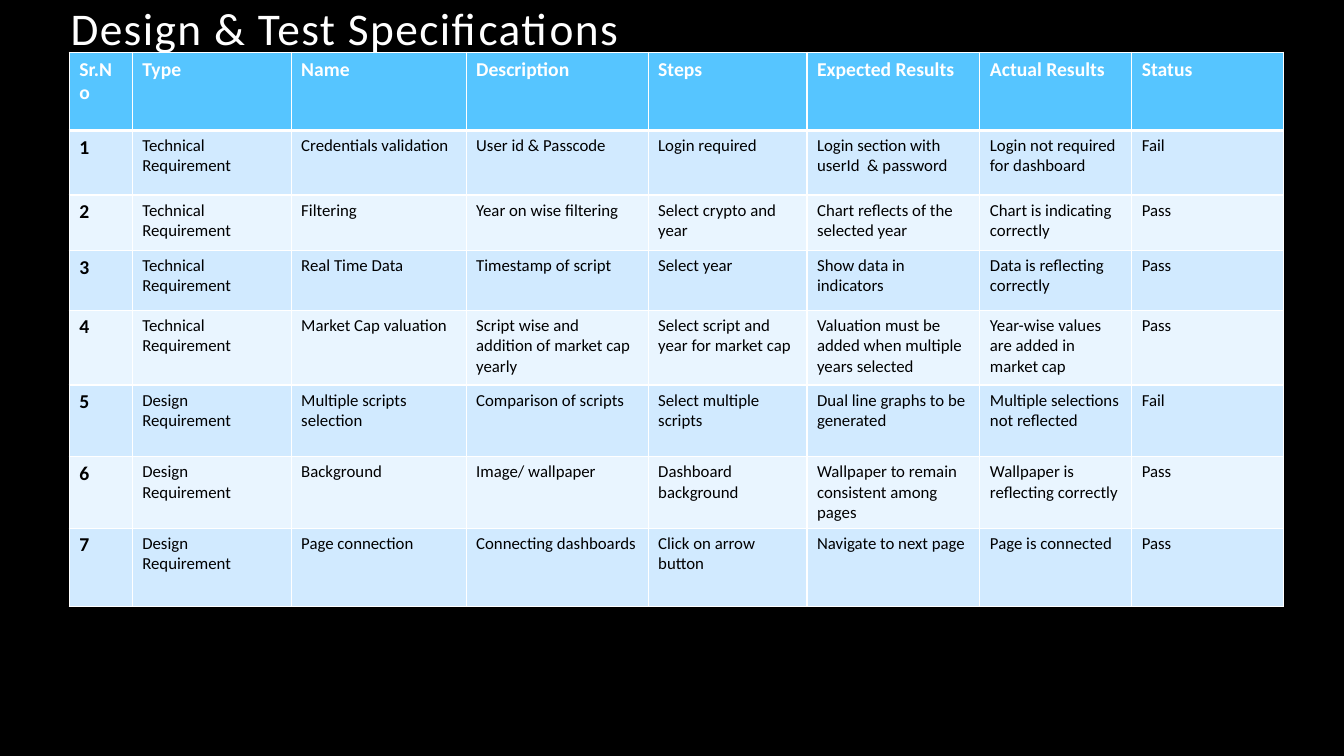
"""Build a slide with a table of design and test specifications."""
from dataclasses import dataclass

from lxml import etree
from pptx import Presentation
from pptx.dml.color import RGBColor
from pptx.enum.text import MSO_ANCHOR, MSO_AUTO_SIZE, PP_ALIGN
from pptx.oxml.ns import qn
from pptx.util import Pt

BOTTOM, TOP = MSO_ANCHOR.BOTTOM, MSO_ANCHOR.TOP
LEFT = PP_ALIGN.LEFT
NO_AUTOFIT = MSO_AUTO_SIZE.NONE
TITLE_ONLY = 5


@dataclass(frozen=True)
class Theme:
    font: str = "Calibri"
    background: str = "000000"
    light: str = "FFFFFF"
    dark: str = "000000"
    header_fill: str = "56C5FF"
    band_fills: tuple = ("D1EAFF", "E9F5FF")
    title_size: float = 32.4
    label_size: float = 14
    body_size: float = 12
    thin_border: float = 1
    header_border: float = 3


THEME = Theme()
TECHNICAL = "Technical Requirement"
DESIGN = "Design\nRequirement"
HEADINGS = ("Sr.No", "Type", "Name", "Description", "Steps",
            "Expected Results", "Actual Results", "Status")
TESTS = (
    (TECHNICAL, "Credentials validation", "User id & Passcode", "Login required",
     "Login section with userId  & password", "Login not required for dashboard", "Fail"),
    (TECHNICAL, "Filtering", "Year on wise filtering", "Select crypto and year",
     "Chart reflects of the selected year", "Chart is indicating correctly", "Pass"),
    (TECHNICAL, "Real Time Data", "Timestamp of script", "Select year",
     "Show data in indicators", "Data is reflecting correctly", "Pass"),
    (TECHNICAL, "Market Cap valuation", "Script wise and addition of market cap yearly",
     "Select script and year for market cap",
     "Valuation must be added when multiple years selected",
     "Year-wise values are added in market cap", "Pass"),
    (DESIGN, "Multiple scripts selection", "Comparison of scripts",
     "Select multiple scripts", "Dual line graphs to be generated",
     "Multiple selections not reflected", "Fail"),
    (DESIGN, "Background", "Image/ wallpaper", "Dashboard background",
     "Wallpaper to remain consistent among pages",
     "Wallpaper is reflecting correctly", "Pass"),
    (DESIGN, "Page connection", "Connecting dashboards", "Click on arrow button",
     "Navigate to next page", "Page is connected", "Pass"),
)
COLUMN_WIDTHS = (45, 113.5, 125, 130, 113.5, 123.5, 108.5, 108.5)
ROW_HEIGHTS = (55.8, 46.2, 39.5, 42.7, 53.5, 51.1, 51.2, 56)


def write_text(text_frame, text, size, color, bold=False, tracking=0, line_spacing=None):
    """Write one formatted paragraph."""
    paragraph = text_frame.paragraphs[0]
    paragraph.text = text
    paragraph.alignment = LEFT
    paragraph.line_spacing = line_spacing
    for line_break in paragraph._p.findall(qn("a:br")):
        etree.SubElement(line_break, qn("a:rPr"), sz=str(int(size * 100)))
    for run in paragraph.runs:
        run.font.name = THEME.font
        run.font.size = Pt(size)
        run.font.bold = bold
        run.font.color.rgb = RGBColor.from_string(color)
        if tracking:
            run._r.get_or_add_rPr().set("spc", str(int(tracking * 100)))


def set_borders(cell, top, bottom):
    """Draw the four borders of a cell, with given top and bottom widths."""
    properties = cell._tc.get_or_add_tcPr()
    widths = {"L": THEME.thin_border, "R": THEME.thin_border, "T": top, "B": bottom}
    for side, width in widths.items():
        line = etree.SubElement(properties, qn(f"a:ln{side}"), w=str(Pt(width)))
        fill = etree.SubElement(line, qn("a:solidFill"))
        etree.SubElement(fill, qn("a:srgbClr"), val=THEME.light)


def add_title(slide, text):
    """Place and fill the title placeholder."""
    title = slide.shapes.title
    title.left, title.top, title.width, title.height = Pt(43.2), Pt(3.6), Pt(720), Pt(39.6)
    frame = title.text_frame
    frame.word_wrap = True
    frame.auto_size = NO_AUTOFIT
    frame.vertical_anchor = BOTTOM
    write_text(frame, text, THEME.title_size, THEME.light, tracking=1, line_spacing=0.9)


def fill_cell(cell, text, row, column):
    """Format a cell according to its place in the table."""
    is_header = row == 0
    is_label = is_header or column == 0
    set_borders(cell,
                top=THEME.header_border if row == 1 else THEME.thin_border,
                bottom=THEME.header_border if is_header else THEME.thin_border)
    fill = THEME.header_fill if is_header else THEME.band_fills[(row - 1) % 2]
    cell.fill.solid()
    cell.fill.fore_color.rgb = RGBColor.from_string(fill)
    cell.vertical_anchor = TOP
    write_text(cell.text_frame, text,
               size=THEME.label_size if is_label else THEME.body_size,
               color=THEME.light if is_header else THEME.dark, bold=is_label)


def add_test_table(slide):
    """Add the table of numbered tests."""
    rows = [HEADINGS] + [(str(number), *test) for number, test in enumerate(TESTS, 1)]
    table = slide.shapes.add_table(
        len(rows), len(HEADINGS), Pt(49.5), Pt(37.4),
        Pt(sum(COLUMN_WIDTHS)), Pt(sum(ROW_HEIGHTS))).table
    table.horz_banding = False
    for column, width in zip(table.columns, COLUMN_WIDTHS):
        column.width = Pt(width)
    for row, height in zip(table.rows, ROW_HEIGHTS):
        row.height = Pt(height)
    for row, texts in enumerate(rows):
        for column, text in enumerate(texts):
            fill_cell(table.cell(row, column), text, row, column)


def main():
    """Build and save the presentation."""
    presentation = Presentation()
    presentation.slide_width, presentation.slide_height = Pt(960), Pt(540)
    slide = presentation.slides.add_slide(presentation.slide_layouts[TITLE_ONLY])
    background = slide.background.fill
    background.solid()
    background.fore_color.rgb = RGBColor.from_string(THEME.background)
    add_title(slide, "Design & Test Specifications")
    add_test_table(slide)
    presentation.save("out.pptx")


if __name__ == "__main__":
    main()
